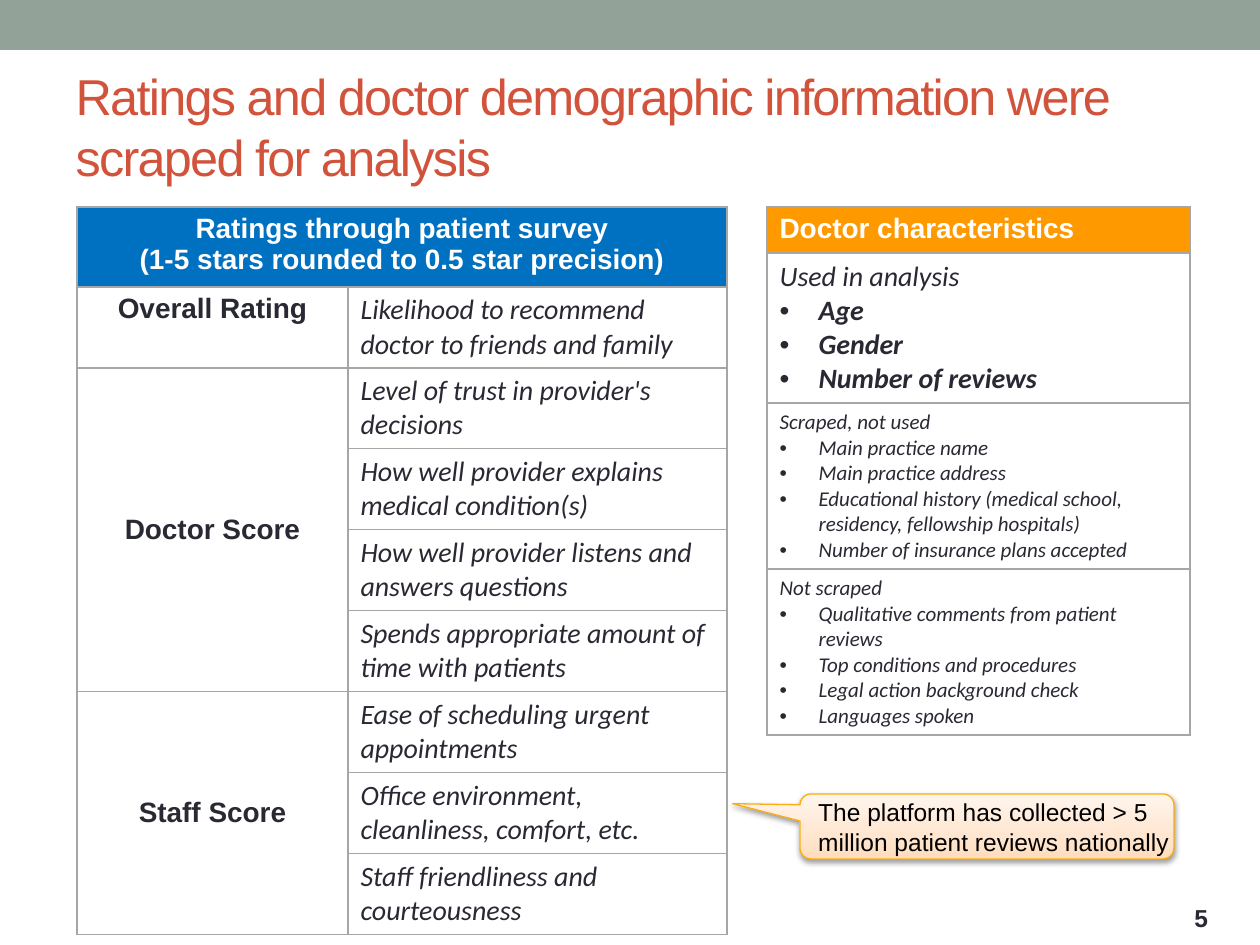
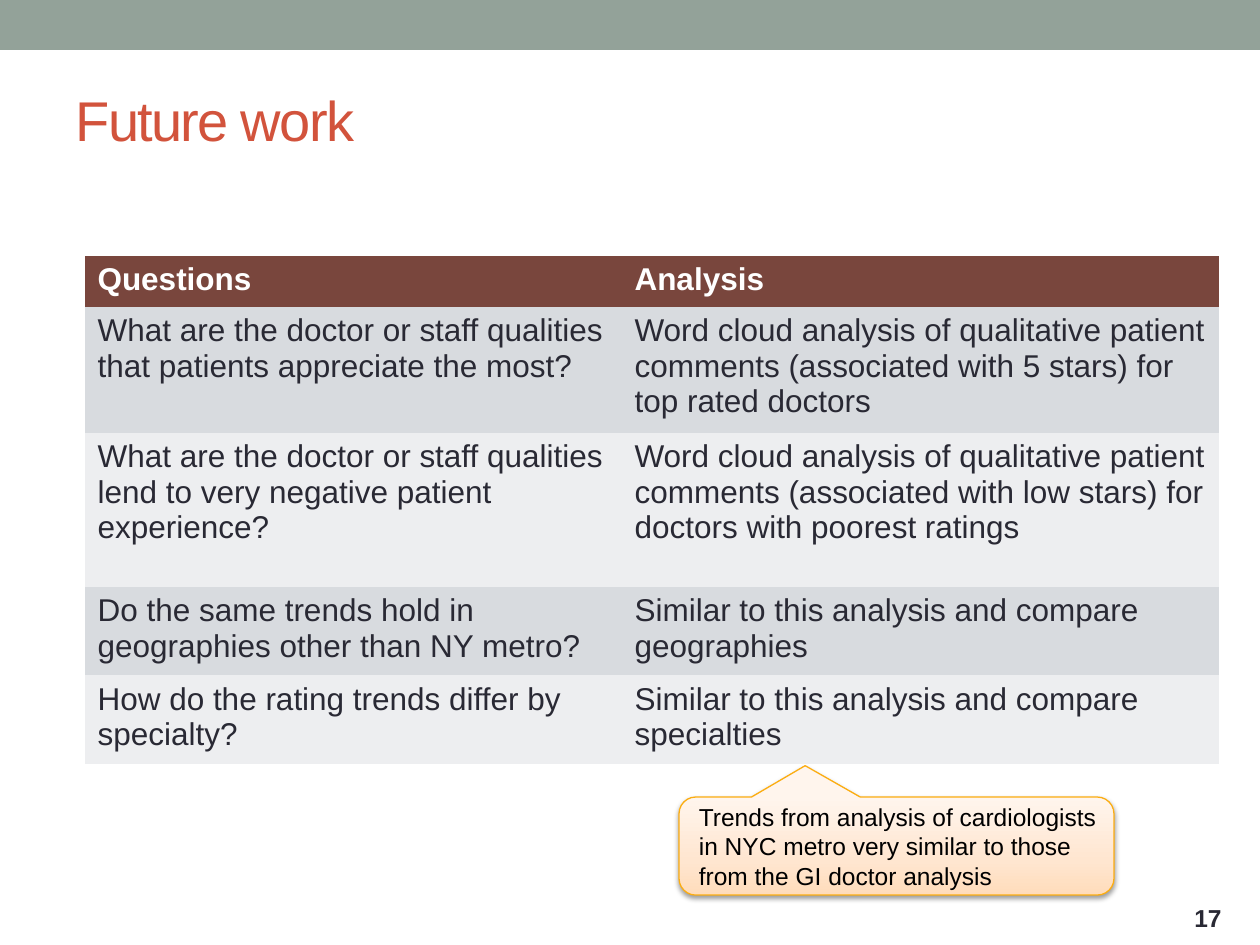
from lxml.etree import SubElement
from pptx import Presentation
from pptx.dml.color import RGBColor
from pptx.enum.shapes import MSO_SHAPE
from pptx.enum.text import MSO_ANCHOR, MSO_AUTO_SIZE, PP_ALIGN
from pptx.oxml.ns import qn
from pptx.util import Emu, Pt

WHITE, INK, BLACK = "FFFFFF", "292934", "000000"
SAGE, BRICK, BLUE, ORANGE, BROWN = "93A299", "D2533C", "0070C0", "FF9900", "79463D"
GRID, STRIPES = "A6A6A6", ("D8DBDF", "EDEEF0")
AMBER = "FCAD11"
CALLOUT_STOPS = ((0, "FFDCBB"), (35, "FFE6D0"), (100, "FFF5ED"))
PLAIN_TABLE_STYLE = "{2D5ABB26-0587-4C30-8999-92F81FD0307C}"

STYLES = {
    "heading": dict(size=16, colour=WHITE, bold=True),
    "group": dict(size=16, bold=True),
    "item": dict(size=16, font="Calibri", italic=True),
    "strong": dict(size=16, font="Calibri", bold=True, italic=True),
    "small": dict(size=12, font="Calibri", italic=True),
    "columns": dict(size=18, colour=WHITE, bold=True),
    "body": dict(size=18),
    "callout": dict(size=14, colour=BLACK),
    "number": dict(size=14, bold=True),
}

SURVEY_HEADING = ["Ratings through patient survey", "(1-5 stars rounded to 0.5 star precision)"]
SURVEY = [
    ("Overall Rating", ["Likelihood to recommend doctor to friends and family"]),
    ("Doctor Score", [
        "Level of trust in provider's decisions",
        "How well provider explains medical condition(s)",
        "How well provider listens and answers questions",
        "Spends appropriate amount of time with patients",
    ]),
    ("Staff Score", [
        "Ease of scheduling urgent appointments",
        "Office environment, cleanliness, comfort, etc.",
        "Staff friendliness and courteousness",
    ]),
]

CHARACTERISTICS_HEADING = "Doctor characteristics"
CHARACTERISTICS = [
    ("Used in analysis", "item", "strong", ["Age", "Gender", "Number of reviews"]),
    ("Scraped, not used", "small", "small", [
        "Main practice name",
        "Main practice address",
        "Educational history (medical school, residency, fellowship hospitals)",
        "Number of insurance plans accepted",
    ]),
    ("Not scraped", "small", "small", [
        "Qualitative comments from patient reviews",
        "Top conditions and procedures",
        "Legal action background check",
        "Languages spoken",
    ]),
]

FUTURE_COLUMNS = ("Questions", "Analysis")
FUTURE_WORK = [
    ("What are the doctor or staff qualities that patients appreciate the most?",
     "Word cloud analysis of qualitative patient comments (associated with 5 stars) for top rated doctors"),
    ("What are the doctor or staff qualities lend to very negative patient experience?",
     "Word cloud analysis of qualitative patient comments (associated with low stars) "
     "for doctors with poorest ratings"),
    ("Do the same trends hold in geographies other than NY metro?",
     "Similar to this analysis and compare geographies"),
    ("How do the rating trends differ by specialty?",
     "Similar to this analysis and compare specialties"),
]


def px(length):
    return Emu(round(length * 914400 / 126))


def rgb(code):
    return RGBColor.from_string(code)


def add_span(para, text, size, font="Arial", colour=INK, bold=False, italic=False):
    span = para.add_run()
    span.text = text
    span.font.size = Pt(size)
    span.font.name = font
    span.font.color.rgb = rgb(colour)
    span.font.bold = bold
    span.font.italic = italic
    return span


def write(frame, lines, style, align=PP_ALIGN.LEFT):
    for index, line in enumerate(lines):
        para = frame.paragraphs[0] if index == 0 else frame.add_paragraph()
        para.alignment = align
        add_span(para, line, **STYLES[style])


def indent(para, left, first=0, bullet=None):
    props = para._p.get_or_add_pPr()
    props.set("marL", str(px(left)))
    props.set("indent", str(px(first)))
    if bullet:
        SubElement(props, qn("a:buFont"), typeface="Arial")
        SubElement(props, qn("a:buChar"), char=bullet)


def add_colour(parent, code):
    return SubElement(parent, qn("a:srgbClr"), val=code)


def add_page(deck, title, title_size, title_height, number):
    page = deck.slides.add_slide(deck.slide_layouts[5])
    band = page.shapes.add_shape(MSO_SHAPE.RECTANGLE, 0, 0, deck.slide_width, px(50))
    band.shadow.inherit = False
    band.fill.solid()
    band.fill.fore_color.rgb = rgb(SAGE)
    band.line.fill.background()

    heading = page.shapes.title
    heading.left, heading.top = px(63), px(73)
    heading.width, heading.height = px(1134), px(title_height)
    frame = heading.text_frame
    frame.word_wrap = True
    frame.auto_size = MSO_AUTO_SIZE.NONE
    frame.vertical_anchor = MSO_ANCHOR.MIDDLE
    frame.paragraphs[0].alignment = PP_ALIGN.LEFT
    span = add_span(frame.paragraphs[0], title, title_size, colour=BRICK)
    span.font._element.set("spc", "-100")

    box = page.shapes.add_textbox(px(1182), px(895), px(73), px(45))
    box.text_frame.word_wrap = True
    box.text_frame.vertical_anchor = MSO_ANCHOR.MIDDLE
    write(box.text_frame, [number], "number")
    return page


def add_grid(page, left, top, widths, heights, border=None):
    holder = page.shapes.add_table(len(heights), len(widths), px(left), px(top),
                                   px(sum(widths)), px(sum(heights)))
    table = holder.table
    table.first_row = table.horz_banding = False
    for style in holder.element.iter(qn("a:tableStyleId")):
        style.text = PLAIN_TABLE_STYLE
    for column, width in zip(table.columns, widths):
        column.width = px(width)
    for row, height in zip(table.rows, heights):
        row.height = px(height)
    for cell in table.iter_cells():
        if border:
            props = cell._tc.get_or_add_tcPr()
            for side in ("lnL", "lnR", "lnT", "lnB"):
                edge = SubElement(props, qn(f"a:{side}"), w=str(Pt(1)))
                add_colour(SubElement(edge, qn("a:solidFill")), border)
        cell.fill.background()
    return table


def paint(cell, code):
    cell.fill.solid()
    cell.fill.fore_color.rgb = rgb(code)


def add_callout(page, left, top, width, height, tip, text):
    callout = page.shapes.add_shape(MSO_SHAPE.ROUNDED_RECTANGULAR_CALLOUT,
                                    px(left), px(top), px(width), px(height))
    for index, value in enumerate((*tip, 0.17)):
        callout.adjustments[index] = value
    props = callout.element.spPr
    gradient = SubElement(props, qn("a:gradFill"), rotWithShape="1")
    stops = SubElement(gradient, qn("a:gsLst"))
    for position, code in CALLOUT_STOPS:
        add_colour(SubElement(stops, qn("a:gs"), pos=str(position * 1000)), code)
    SubElement(gradient, qn("a:lin"), ang=str(270 * 60000), scaled="0")
    callout.line.color.rgb = rgb(AMBER)
    callout.line.width = Pt(0.75)
    effects = SubElement(props, qn("a:effectLst"))
    shadow = SubElement(effects, qn("a:outerShdw"), blurRad=str(Pt(3.1)),
                        dist=str(Pt(1.6)), dir=str(90 * 60000), rotWithShape="0")
    SubElement(add_colour(shadow, BLACK), qn("a:alpha"), val="38000")

    frame = callout.text_frame
    frame.margin_left = frame.margin_right = frame.margin_top = frame.margin_bottom = 0
    frame.word_wrap = True
    frame.auto_size = MSO_AUTO_SIZE.SHAPE_TO_FIT_TEXT
    frame.vertical_anchor = MSO_ANCHOR.TOP
    write(frame, [text], "callout")
    indent(frame.paragraphs[0], 15)


def add_survey(page):
    item_count = sum(len(items) for _, items in SURVEY)
    table = add_grid(page, 77, 207, (271, 379), [74] + [81] * item_count, GRID)
    header = table.cell(0, 0)
    header.merge(table.cell(0, 1))
    paint(header, BLUE)
    write(header.text_frame, SURVEY_HEADING, "heading", PP_ALIGN.CENTER)
    row = 1
    for group, items in SURVEY:
        label = table.cell(row, 0)
        if len(items) > 1:
            label.merge(table.cell(row + len(items) - 1, 0))
            label.vertical_anchor = MSO_ANCHOR.MIDDLE
        write(label.text_frame, [group], "group", PP_ALIGN.CENTER)
        for item in items:
            write(table.cell(row, 1).text_frame, [item], "item")
            row += 1


def add_characteristics(page):
    table = add_grid(page, 767, 207, (423,), (44, 150, 166, 166), GRID)
    paint(table.cell(0, 0), ORANGE)
    write(table.cell(0, 0).text_frame, [CHARACTERISTICS_HEADING], "heading")
    for row, (lead, lead_style, item_style, items) in enumerate(CHARACTERISTICS, 1):
        frame = table.cell(row, 0).text_frame
        write(frame, [lead], lead_style)
        for item in items:
            para = frame.add_paragraph()
            indent(para, 39, -39, "•")
            add_span(para, item, **STYLES[item_style])


def add_future_work(page):
    table = add_grid(page, 85, 256, (537, 597), (51, 119, 154, 83, 83))
    for row, texts in enumerate([FUTURE_COLUMNS, *FUTURE_WORK]):
        for column, text in enumerate(texts):
            cell = table.cell(row, column)
            paint(cell, STRIPES[(row - 1) % 2] if row else BROWN)
            write(cell.text_frame, [text], "body" if row else "columns")


def main():
    deck = Presentation()
    deck.slide_width, deck.slide_height = px(1260), px(945)

    ratings = add_page(deck, "Ratings and doctor demographic information were scraped for analysis",
                       28.8, 106, "5")
    add_survey(ratings)
    add_characteristics(ratings)
    add_callout(ratings, 800, 794, 374, 65, (-0.68, -0.35),
                "The platform has collected > 5 million patient reviews nationally")

    future = add_page(deck, "Future work", 32, 93, "17")
    add_future_work(future)
    add_callout(future, 679, 797, 435, 98, (-0.21, -0.82),
                "Trends from analysis of cardiologists in NYC metro very similar "
                "to those from the GI doctor analysis")

    deck.save("out.pptx")


if __name__ == "__main__":
    main()
